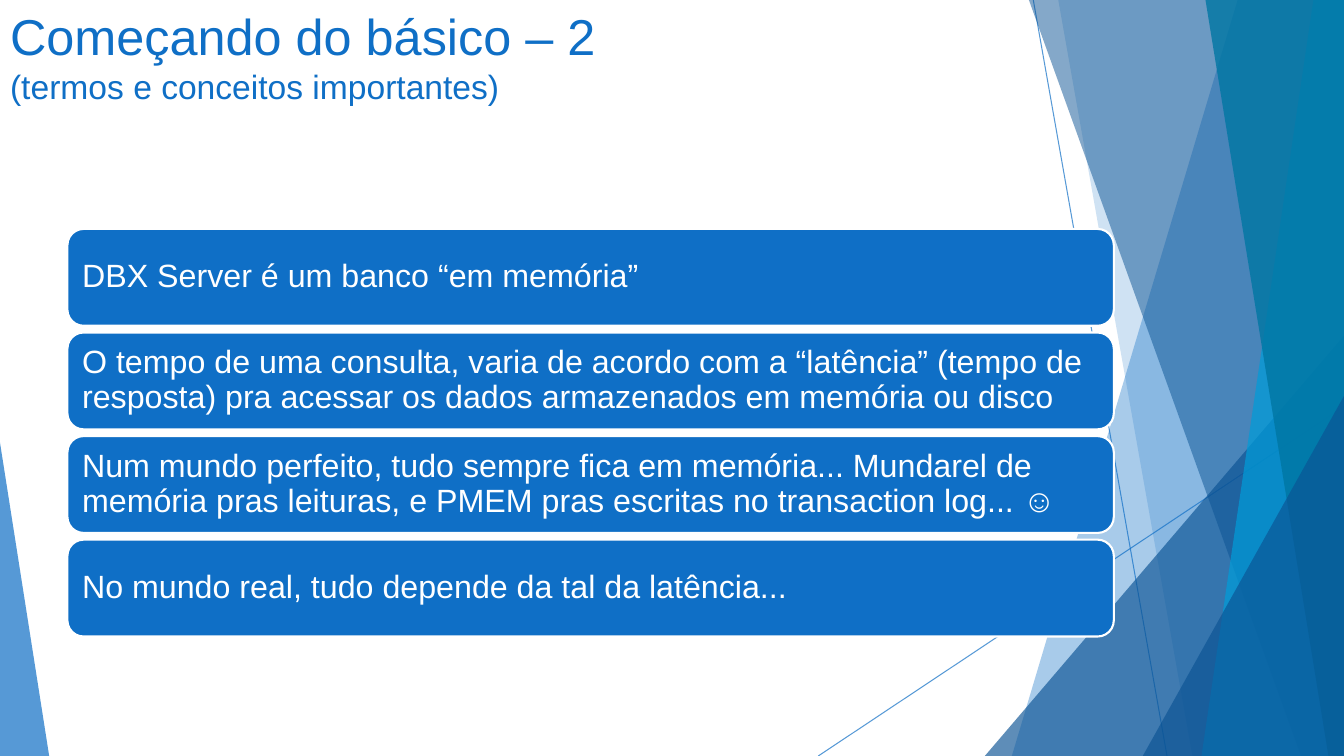
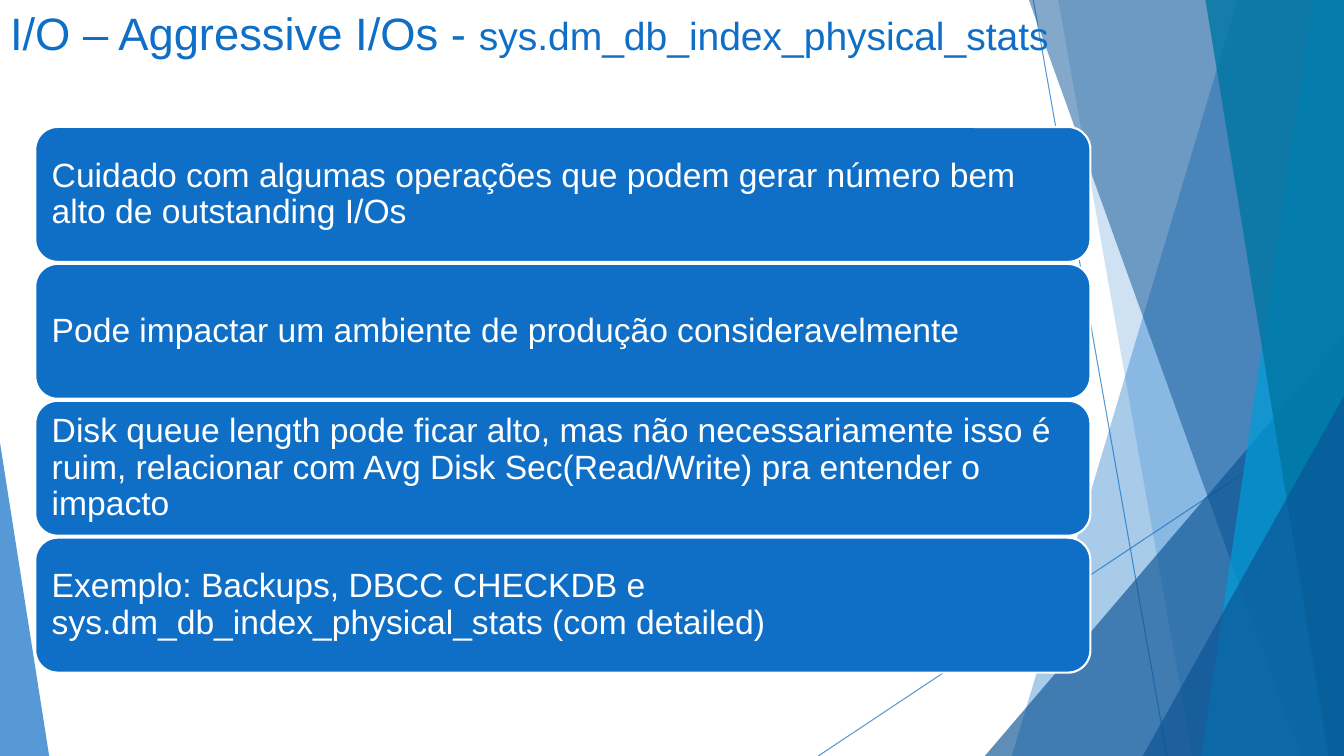
from lxml import etree
from pptx import Presentation
from pptx.dml.color import RGBColor
from pptx.enum.shapes import MSO_CONNECTOR, MSO_SHAPE
from pptx.enum.text import MSO_ANCHOR, MSO_AUTO_SIZE, PP_ALIGN
from pptx.oxml.ns import qn
from pptx.util import Cm, Pt

STRAIGHT = MSO_CONNECTOR.STRAIGHT
TRIANGLE = MSO_SHAPE.ISOSCELES_TRIANGLE
ROUNDED = MSO_SHAPE.ROUNDED_RECTANGLE
LEFT = PP_ALIGN.LEFT
TOP = MSO_ANCHOR.TOP
MIDDLE = MSO_ANCHOR.MIDDLE
NO_FIT = MSO_AUTO_SIZE.NONE

COLORS = {
    "blue": "0F6FC6",
    "navy": "0B5394",
    "cyan": "009DD9",
    "teal": "0076A3",
    "white": "FFFFFF",
}
FONT = "Arial"
WIDTH, HEIGHT = 33.87, 19.05

RAYS = [(26.04, 0, 29.41, HEIGHT), (WIDTH, 10.24, 20.62, HEIGHT)]
FACETS = [
    ("band", (31.19, 25.5), "blue", 36),
    ("band", (26.67, 30.05), "blue", 20),
    ("triangle", (24.82, 8.46, 9.05, 1), "navy", 66),
    ("band", (25.93, 32.79), "navy", 50),
    ("band", (33.1, 30.28), "cyan", 70),
    ("band", (30.38, 33.48), "teal", 80),
    ("triangle", (28.8, 9.98, 5.07, 1), "navy", 66),
    ("triangle", (0, 11.15, 1.24, 0), "blue", 70),
]

PAGES = [
    {
        "title": [
            [("Começando do básico – 2", 36)],
            [("(termos e conceitos importantes)", 24)],
        ],
        "title_size": (23.88, 3.66),
        "cards": [
            "DBX Server é um banco “em memória”",
            "O tempo de uma consulta, varia de acordo com a “latência” (tempo de resposta) pra acessar os dados armazenados em memória ou disco",
            "Num mundo perfeito, tudo sempre fica em memória... Mundarel de memória pras leituras, e PMEM pras escritas no transaction log... ☺",
            "No mundo real, tudo depende da tal da latência...",
        ],
        "first_card": (1.7, 5.77, 26.37, 2.44),
        "pitch": 2.61,
        "card_font": 23,
    },
    {
        "title": [
            [("I/O – Aggressive I/Os - ", 32.4), ("sys.dm_db_index_physical_stats", 27.9)],
        ],
        "title_size": (29.08, 2.21),
        "cards": [
            "Cuidado com algumas operações que podem gerar número bem alto de outstanding I/Os",
            "Pode impactar um ambiente de produção consideravelmente",
            "Disk queue length pode ficar alto, mas não necessariamente isso é ruim, relacionar com Avg Disk Sec(Read/Write) pra entender o impacto",
            "Exemplo: Backups, DBCC CHECKDB e sys.dm_db_index_physical_stats (com detailed)",
        ],
        "first_card": (0.89, 3.2, 26.59, 3.4),
        "pitch": 3.45,
        "card_font": 24,
    },
]


def set_opacity(shape, percent):
    color = shape.element.spPr.find(".//" + qn("a:srgbClr"))
    etree.SubElement(color, qn("a:alpha"), val=str(percent * 1000))


def format_span(span, size, color):
    span.font.name = FONT
    span.font.size = Pt(size)
    span.font.color.rgb = RGBColor.from_string(COLORS[color])


deck = Presentation()
deck.slide_width = Cm(WIDTH)
deck.slide_height = Cm(HEIGHT)
layout = deck.slide_layouts[5]
for placeholder in list(layout.placeholders):
    if placeholder.placeholder_format.idx != 0:
        placeholder.element.getparent().remove(placeholder.element)
pages = [deck.slides.add_slide(layout) for _ in PAGES]

backdrop = pages[0].shapes.add_group_shape()
for ray_ends in RAYS:
    ray = backdrop.shapes.add_connector(STRAIGHT, *map(Cm, ray_ends))
    ray.line.color.rgb = RGBColor.from_string(COLORS["blue"])
    ray.line.width = Pt(0.75)
    set_opacity(ray, 70)
    etree.SubElement(ray.element.spPr, qn("a:effectLst"))

for kind, geometry, color, opacity in FACETS:
    if kind == "band":
        top_x, bottom_x = geometry
        outline = backdrop.shapes.build_freeform(Cm(top_x), 0)
        corners = [(WIDTH, 0), (WIDTH, HEIGHT), (bottom_x, HEIGHT)]
        outline.add_line_segments([(Cm(x), Cm(y)) for x, y in corners])
        facet = outline.convert_to_shape()
    else:
        left, top, width, apex = geometry
        facet = backdrop.shapes.add_shape(
            TRIANGLE, Cm(left), Cm(top), Cm(width), Cm(HEIGHT - top)
        )
        facet.adjustments[0] = apex
    facet.shadow.inherit = False
    facet.fill.solid()
    facet.fill.fore_color.rgb = RGBColor.from_string(COLORS[color])
    facet.line.fill.background()
    set_opacity(facet, opacity)
layout.shapes.element.insert(2, backdrop.element)

for page, content in zip(pages, PAGES):
    title = page.shapes.title
    title.left, title.top = Cm(0), Cm(0)
    title.width, title.height = map(Cm, content["title_size"])
    frame = title.text_frame
    frame.word_wrap = True
    frame.auto_size = NO_FIT
    frame.vertical_anchor = TOP
    for index, spans in enumerate(content["title"]):
        para = frame.add_paragraph() if index else frame.paragraphs[0]
        para.alignment = LEFT
        for text, size in spans:
            span = para.add_run()
            span.text = text
            format_span(span, size, "blue")

    left, top, width, height = content["first_card"]
    for index, text in enumerate(content["cards"]):
        card_top = top + index * content["pitch"]
        card = page.shapes.add_shape(
            ROUNDED, Cm(left), Cm(card_top), Cm(width), Cm(height)
        )
        card.shadow.inherit = False
        card.fill.solid()
        card.fill.fore_color.rgb = RGBColor.from_string(COLORS["blue"])
        card.line.color.rgb = RGBColor.from_string(COLORS["white"])
        card.line.width = Pt(1.5)
        frame = card.text_frame
        frame.word_wrap = True
        frame.vertical_anchor = MIDDLE
        frame.margin_left = frame.margin_right = Cm(0.25)
        frame.margin_top = frame.margin_bottom = Cm(0.25)
        frame.text = text
        para = frame.paragraphs[0]
        para.alignment = LEFT
        para.line_spacing = 0.9
        format_span(para.runs[0], content["card_font"], "white")

deck.save("out.pptx")
